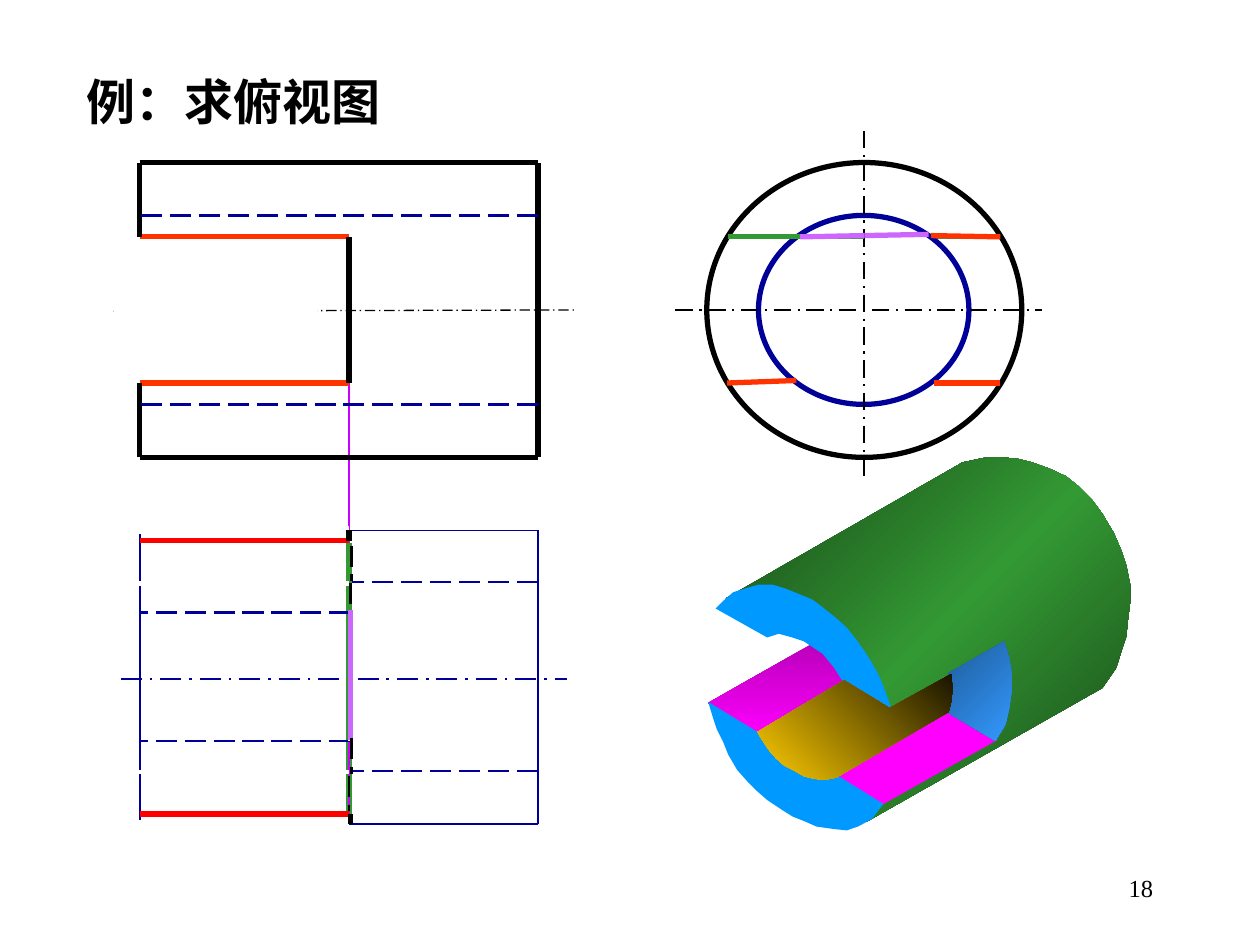
import pptx
import pptx.util
import pptx.dml.color
import pptx.enum.dml
import pptx.enum.shapes
import pptx.enum.text
import pptx.oxml
import pptx.oxml.ns

PX = 9144
COLORS = {
    "black": "000000", "white": "FFFFFF", "navy": "000099", "orange": "FF3300",
    "red": "FF0000", "green": "339933", "teal": "339966", "violet": "CC66FF",
    "purple": "CC00FF", "magenta": "FF00FF", "plum": "B900B9", "azure": "0099FF",
    "pine": "184718", "steel": "1F5D9B", "sky": "3399FF", "gold": "FFCC00",
    "umber": "191400",
}
DASH = pptx.enum.dml.MSO_LINE.LONG_DASH
AXIS = pptx.enum.dml.MSO_LINE.LONG_DASH_DOT

BODY = [(14, 112), (202, 4), (221, 0), (232, 0), (245, 1), (257, 4), (271, 9),
        (284, 15), (294, 23), (305, 34), (313, 45), (322, 60), (328, 74),
        (332, 86), (335, 101), (335, 115), (333, 131), (332, 142), (328, 154),
        (324, 167), (313, 183), (126, 289), (138, 276), (223, 222), (233, 198),
        (235, 181), (235, 163), (228, 153), (141, 207), (119, 164), (85, 132),
        (36, 114)]
NEAR_CUT = [(190, 201), (230, 224), (127, 282), (102, 263), (101, 251)]
FAR_CUT = [(0, 195), (86, 146), (108, 163), (110, 177), (31, 223)]
LOWER_END = [(0, 194), (41, 219), (48, 230), (57, 239), (65, 246), (77, 251),
             (88, 254), (102, 252), (139, 275), (130, 287), (119, 293),
             (110, 296), (100, 295), (86, 293), (77, 289), (67, 285), (59, 280),
             (47, 272), (39, 265), (31, 257), (23, 248), (16, 236), (12, 226),
             (7, 216), (4, 207)]
UPPER_END = [(6, 120), (47, 143), (56, 140), (67, 143), (76, 146), (91, 156),
             (100, 167), (107, 178), (146, 201), (143, 192), (140, 184),
             (136, 174), (130, 163), (125, 155), (118, 145), (110, 135),
             (101, 127), (91, 119), (83, 113), (71, 108), (61, 104), (51, 101),
             (40, 101), (33, 103), (20, 107), (12, 114)]
STEP = [(191, 171), (192, 181), (192, 190), (191, 203), (228, 225), (236, 212),
        (239, 199), (241, 185), (241, 172), (239, 159), (235, 146)]
BORE = [(39, 218), (108, 177), (144, 199), (193, 172), (194, 184), (193, 194),
        (191, 202), (102, 254), (92, 256), (84, 255), (76, 253), (69, 249),
        (61, 245), (54, 239), (48, 232), (44, 226)]


def rgb(color):
    """Return the named colour."""
    return pptx.dml.color.RGBColor.from_string(COLORS[color])


def draw_lines(slide, box, color, width, segments, dash=None):
    """Draw (x1, y1, x2, y2) segments in one style, relative to the box."""
    left, top = box[:2]
    for x1, y1, x2, y2 in segments:
        edge = slide.shapes.add_connector(
            pptx.enum.shapes.MSO_CONNECTOR.STRAIGHT,
            (left + x1) * PX, (top + y1) * PX, (left + x2) * PX, (top + y2) * PX)
        edge.line.color.rgb = rgb(color)
        edge.line.width = pptx.util.Pt(width)
        if dash:
            edge.line.dash_style = dash
        edge._element.spPr.append(pptx.oxml.parse_xml(
            f'<a:effectLst {pptx.oxml.ns.nsdecls("a")}/>'))


def draw_preset(slide, box, kind, x, y, w, h, fill=None, outline=None):
    """Draw a preset shape relative to the box."""
    preset = slide.shapes.add_shape(
        kind, (box[0] + x) * PX, (box[1] + y) * PX, w * PX, h * PX)
    preset.shadow.inherit = False
    if fill:
        preset.fill.solid()
        preset.fill.fore_color.rgb = rgb(fill)
    else:
        preset.fill.background()
    if outline:
        preset.line.color.rgb = rgb(outline)
        preset.line.width = pptx.util.Pt(3)
    else:
        preset.line.fill.background()


def draw_face(slide, box, points, colors, angle=0):
    """Draw one face of the solid, shaded evenly through its colours."""
    builder = slide.shapes.build_freeform(*points[0], scale=PX)
    builder.add_line_segments(points[1:], close=True)
    face = builder.convert_to_shape(box[0] * PX, box[1] * PX)
    face.shadow.inherit = False
    face.line.fill.background()
    face.fill.solid()
    face.fill.fore_color.rgb = rgb(colors[0])
    if len(colors) > 1:
        stops = "".join(
            f'<a:gs pos="{100000 * i // (len(colors) - 1)}">'
            f'<a:srgbClr val="{COLORS[color]}"/></a:gs>'
            for i, color in enumerate(colors))
        properties = face._element.spPr
        properties.replace(
            properties.find(pptx.oxml.ns.qn("a:solidFill")),
            pptx.oxml.parse_xml(
                f'<a:gradFill {pptx.oxml.ns.nsdecls("a")}><a:gsLst>{stops}</a:gsLst>'
                f'<a:lin ang="{angle * 60000}" scaled="0"/></a:gradFill>'))


def top_view(slide, box):
    """Draw the plan view with its slot and projection line."""
    w, h = box[2:]
    slot = 166
    draw_lines(slide, box, "navy", 1.5, [(-15, 118, 339, 118)], AXIS)
    draw_lines(slide, box, "navy", 1, [
        (0, 0, 0, h), (w, 0, w, h), (0, h, w, h), (0, 0, w, 0)])
    draw_lines(slide, box, "navy", 1.5, [(w, y, 0, y) for y in (41, 191)], DASH)
    draw_lines(slide, box, "green", 3, [(slot, 225, slot, 117)])
    draw_lines(slide, box, "purple", 1, [(slot, -117, slot, h)])
    draw_lines(slide, box, "green", 3, [(slot, 118, slot, 10)])
    draw_lines(slide, box, "red", 3, [(slot, y, 0, y) for y in (225, 8)])
    draw_lines(slide, box, "navy", 1.5, [(167, y, 0, y) for y in (65, 167)], DASH)
    draw_lines(slide, box, "white", 3, [(167, 65, 167, 167)])
    draw_lines(slide, box, "white", 4.5, [(-21, y, slot, y) for y in (0, h)])
    draw_lines(slide, box, "black", 3, [(167, 225, 167, h), (slot, 0, slot, 8)])
    draw_lines(slide, box, "white", 2.75, [(-2, 42, slot, 42)])
    draw_lines(slide, box, "white", 2.25, [(-2, 192, slot, 192)])
    draw_lines(slide, box, "black", 1.5, [(167, 42, 167, 65)], DASH)
    draw_lines(slide, box, "violet", 3, [(167, 166, 167, 117), (167, 119, 167, 63)])
    draw_lines(slide, box, "black", 1.5, [
        (168, 165, 168, 193), (slot, 195, slot, 223), (168, 12, 168, 40)], DASH)


def front_view(slide, box):
    """Draw the front view with its open slot."""
    w, h = box[2:]
    slot, upper, lower = 166, 59, 175
    draw_lines(slide, box, "black", 0.75, [(-21, 118, 345, 117)], AXIS)
    draw_lines(slide, box, "black", 3, [(0, 0, w, 0), (0, h, w, h), (w, 0, w, h)])
    draw_lines(slide, box, "orange", 3, [(slot, y, 0, y) for y in (upper, lower)])
    draw_lines(slide, box, "black", 3, [
        (slot, upper, slot, lower), (0, lower, 0, h), (0, upper, 0, 0)])
    draw_lines(slide, box, "navy", 1.5, [(w, y, 0, y) for y in (42, 192)], DASH)
    draw_preset(slide, box, pptx.enum.shapes.MSO_SHAPE.RECTANGLE,
                -21, 102, 162, 30, fill="white")


def side_view(slide, box):
    """Draw the two concentric outlines and the slot edges."""
    w, h = box[2:]
    oval = pptx.enum.shapes.MSO_SHAPE.OVAL
    middle = w // 2
    draw_lines(slide, box, "teal", 3, [(middle, 59, 233, 59)])
    draw_preset(slide, box, oval, 41, 42, 167, 150, "white", "navy")
    draw_preset(slide, box, oval, 0, 0, w, h, outline="black")
    draw_lines(slide, box, "black", 1.25, [
        (-25, 117, 266, 117), (middle, -25, middle, 250)], AXIS)
    draw_lines(slide, box, "orange", 3, [
        (17, 59, 68, 59), (16, 175, 71, 173), (178, 58, 233, 59), (180, 175, 233, 175)])
    draw_lines(slide, box, "green", 3, [(17, 59, middle, 59)])
    draw_lines(slide, box, "violet", 3, [
        (middle, 58, 176, 57), (74, 59, middle, 58)])


def solid_view(slide, box):
    """Draw the slotted tube in three dimensions."""
    draw_face(slide, box, BODY, ["pine", "green", "pine"], 45)
    draw_face(slide, box, NEAR_CUT, ["magenta"])
    draw_face(slide, box, FAR_CUT, ["plum", "magenta"], 90)
    draw_face(slide, box, LOWER_END, ["azure"])
    draw_face(slide, box, UPPER_END, ["azure"])
    draw_face(slide, box, STEP, ["steel", "sky"], 45)
    draw_face(slide, box, BORE, ["gold", "umber"], 315)


def write(holder, words, font, size, align, bold=False):
    """Write one run of text into a shape."""
    frame = holder.text_frame
    frame.word_wrap = True
    frame.vertical_anchor = pptx.enum.text.MSO_ANCHOR.TOP
    paragraph = frame.paragraphs[0]
    paragraph.alignment = align
    run = paragraph.add_run()
    run.text = words
    run.font.name = font
    run.font.size = pptx.util.Pt(size)
    run.font.bold = bold
    run.font.color.rgb = rgb("black")
    run._r.rPr.append(pptx.oxml.parse_xml(
        f'<a:ea {pptx.oxml.ns.nsdecls("a")} typeface="{font}"/>'))


def heading(slide, box):
    """Place the title."""
    title = slide.shapes.title
    title.left, title.top, title.width, title.height = (n * PX for n in box)
    write(title, "例：求俯视图", "Noto Sans CJK SC", 28,
          pptx.enum.text.PP_ALIGN.LEFT, bold=True)
    title.text_frame.auto_size = pptx.enum.text.MSO_AUTO_SIZE.SHAPE_TO_FIT_TEXT


def page_number(slide, box):
    """Place the slide number."""
    number = slide.shapes.add_textbox(*(n * PX for n in box))
    write(number, "18", "Times New Roman", 14, pptx.enum.text.PP_ALIGN.RIGHT)


def main():
    """Build and save the slide."""
    deck = pptx.Presentation()
    deck.slide_width, deck.slide_height = 1000 * PX, 750 * PX
    slide = deck.slides.add_slide(deck.slide_layouts[5])
    heading(slide, (59, 52, 390, 57))
    top_view(slide, (111, 421, 316, 233))
    front_view(slide, (111, 129, 316, 234))
    side_view(slide, (561, 129, 250, 234))
    solid_view(slide, (562, 363, 335, 296))
    page_number(slide, (717, 688, 208, 50))
    deck.save("out.pptx")


if __name__ == "__main__":
    main()
